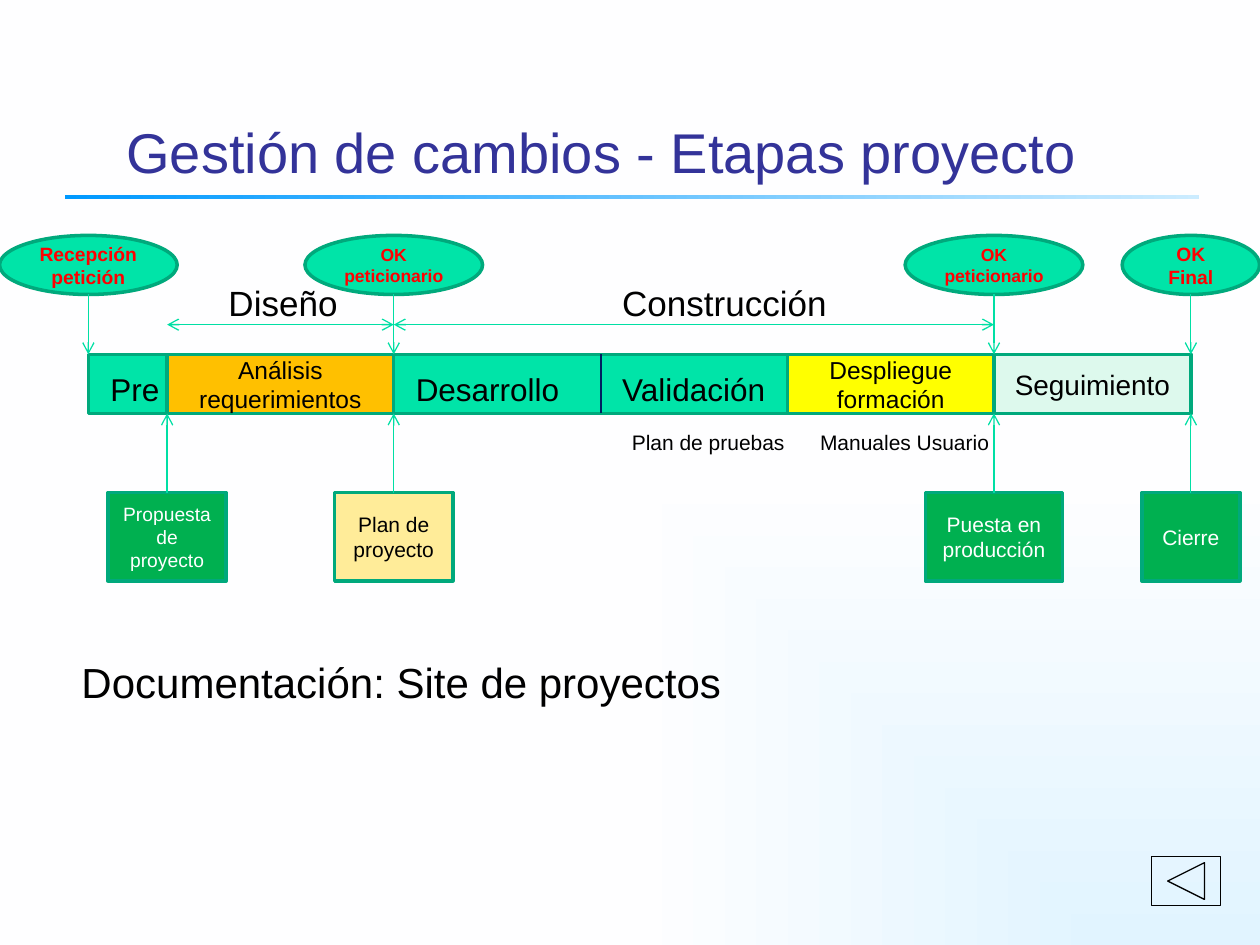
from lxml.etree import SubElement
from pptx import Presentation
from pptx.dml.color import RGBColor
from pptx.enum.shapes import MSO_CONNECTOR, MSO_SHAPE
from pptx.enum.text import MSO_ANCHOR, PP_ALIGN
from pptx.oxml.ns import qn
from pptx.util import Pt

INK = {
    "title": "333399", "text": "000000", "white": "FFFFFF", "alert": "FF0000",
    "mint": "00E4A8", "edge": "00A97C", "arrow": "00DFA4", "navy": "002060",
    "green": "00B050", "amber": "FFC000", "yellow": "FFFF00", "pale": "DDF9ED",
    "cream": "FFEC99", "blue": "0099FF", "sky": "CCECFF",
    "glow": "E1F4FF", "paper": "FEFEFF",
}


def tint(name):
    """Return the named colour."""
    return RGBColor.from_string(INK[name])


class Sketch:
    """Holds the style and the current slide."""

    font = "Arial"
    inset = 6

    def __init__(self, slide):
        """Keep the slide to draw on."""
        self.slide = slide

    def blend(self, fill, first, last):
        """Give a fill a gradient of two colours."""
        fill.gradient()
        for stop, name, spot in zip(fill.gradient_stops, (first, last), (0, 1)):
            stop.color.rgb = tint(name)
            stop.position = spot

    def back(self):
        """Let the background glow from the lower right corner."""
        self.blend(self.slide.background.fill, "glow", "paper")
        grad = next(self.slide.element.iter(qn("a:gradFill")))
        grad.remove(grad.find(qn("a:lin")))
        route = SubElement(grad, qn("a:path"), {"path": "rect"})
        SubElement(route, qn("a:fillToRect"), {"l": "100000", "t": "100000"})

    def letter(self, frame, text, size, ink="text", bold=False, align=PP_ALIGN.LEFT):
        """Set and format the text of a frame."""
        frame.text = text
        para = frame.paragraphs[0]
        para.alignment = align
        for run in para.runs:
            run.font.name = self.font
            run.font.size = Pt(size)
            run.font.bold = bold
            run.font.color.rgb = tint(ink)

    def title(self, text, x, y, wide, high):
        """Place and fill the title."""
        box = self.slide.shapes.title
        box.left, box.top, box.width, box.height = map(Pt, (x, y, wide, high))
        self.letter(box.text_frame, text, 32, "title")
        box.text_frame.vertical_anchor = MSO_ANCHOR.BOTTOM

    def shape(self, kind, x, y, wide, high, fill=None, edge=None, weight=2):
        """Draw a preset shape."""
        item = self.slide.shapes.add_shape(kind, *map(Pt, (x, y, wide, high)))
        item.shadow.inherit = False
        item.fill.background()
        if fill:
            item.fill.solid()
            item.fill.fore_color.rgb = tint(fill)
        item.line.fill.background()
        if edge:
            item.line.color.rgb = tint(edge)
            item.line.width = Pt(weight)
        return item

    def block(self, kind, x, y, wide, high, fill, text, size, ink="text", bold=False):
        """Draw an outlined shape with centred text."""
        frame = self.shape(kind, x, y, wide, high, fill, "edge").text_frame
        frame.word_wrap = True
        frame.margin_left = frame.margin_right = Pt(self.inset)
        frame.vertical_anchor = MSO_ANCHOR.MIDDLE
        self.letter(frame, text, size, ink, bold, PP_ALIGN.CENTER)

    def label(self, text, x, y, wide, high, size):
        """Add free text on one line."""
        box = self.slide.shapes.add_textbox(*map(Pt, (x, y, wide, high)))
        box.text_frame.word_wrap = False
        self.letter(box.text_frame, text, size)

    def line(self, x1, y1, x2, y2, ends=("tailEnd",), ink="arrow"):
        """Draw a line with arrowheads at the given ends."""
        item = self.slide.shapes.add_connector(
            MSO_CONNECTOR.STRAIGHT, *map(Pt, (x1, y1, x2, y2)))
        item.line.color.rgb = tint(ink)
        item.line.width = Pt(0.75)
        props = item.element.find(qn("p:spPr"))
        for end in ends:
            SubElement(props.find(qn("a:ln")), qn("a:" + end), {"type": "arrow"})
        SubElement(props, qn("a:effectLst"))


START, DRAFT, PLAN, LIVE, CLOSE = 50.5, 95.5, 225, 568, 680.5
TOP, BASE = 202.5, 236.25
HIGH = BASE - TOP
OVAL_Y, SPAN_Y, DOC_Y = 134.5, 185.5, 281.5

OVALS = [
    (START, 101.5, "Recepción petición", 11),
    (PLAN, 101.5, "OK peticionario", 10),
    (LIVE, 101.5, "OK peticionario", 10),
    (CLOSE, 78.5, "OK Final", 11),
]
STAGES = [
    (DRAFT, PLAN, "amber", "Análisis requerimientos", 14),
    (450, LIVE, "yellow", "Despliegue formación", 14),
    (LIVE, CLOSE, "pale", "Seguimiento", 16),
]
DOCS = [
    (DRAFT, 67.5, "green", "Propuesta de proyecto", 11, "white"),
    (PLAN, 67.5, "cream", "Plan de proyecto", 12, "text"),
    (LIVE, 78.5, "green", "Puesta en producción", 12, "white"),
    (CLOSE, 56, "green", "Cierre", 12, "white"),
]
LABELS = [
    ("Pre", 56, 208, 42.5, 29, 18),
    ("Desarrollo", 230.5, 208, 97, 29, 18),
    ("Validación", 348.5, 208, 97, 29, 18),
    ("Plan de pruebas", 354, 242, 102, 21.5, 12),
    ("Manuales Usuario", 461.5, 242, 111.5, 21.5, 12),
    ("Diseño", 123.5, 157.5, 78, 31.5, 20),
    ("Construcción", 348.5, 157.5, 132.5, 31.5, 20),
    ("Documentación: Site de proyectos", 39.5, 371.5, 390, 36, 24),
]


def main():
    """Build and save the slide."""
    deck = Presentation()
    deck.slide_width, deck.slide_height = Pt(720), Pt(540)
    art = Sketch(deck.slides.add_slide(deck.slide_layouts[5]))
    art.back()
    rule = art.shape(MSO_SHAPE.RECTANGLE, 37, 111.5, 648, 2.25)
    art.blend(rule.fill, "blue", "sky")
    rule.fill.gradient_angle = 0
    art.title("Gestión de cambios - Etapas proyecto", 65, 49, 613.5, 60)

    art.shape(MSO_SHAPE.RECTANGLE, START, TOP, CLOSE - START, HIGH, "mint", "edge")
    for left, right, fill, text, size in STAGES:
        art.block(MSO_SHAPE.RECTANGLE, left, TOP, right - left, HIGH, fill, text, size)
    art.line(343.5, TOP, 343.5, BASE, (), "navy")

    for mid, wide, text, size in OVALS:
        art.block(MSO_SHAPE.OVAL, mid - wide / 2, OVAL_Y, wide, HIGH,
                  "mint", text, size, "alert", True)
        art.line(mid, OVAL_Y + HIGH, mid, TOP)
    for mid, wide, fill, text, size, ink in DOCS:
        art.block(MSO_SHAPE.RECTANGLE, mid - wide / 2, DOC_Y, wide, 50.5,
                  fill, text, size, ink)
        art.line(mid, DOC_Y, mid, BASE)
    for left, right in ((DRAFT, PLAN), (PLAN, LIVE)):
        art.line(left, SPAN_Y, right, SPAN_Y, ("headEnd", "tailEnd"))
    for label in LABELS:
        art.label(*label)
    art.shape(MSO_SHAPE.ACTION_BUTTON_BACK_OR_PREVIOUS, 658, 489.5, 39.5, 28,
              edge="text", weight=0.75)
    deck.save("out.pptx")


main()
